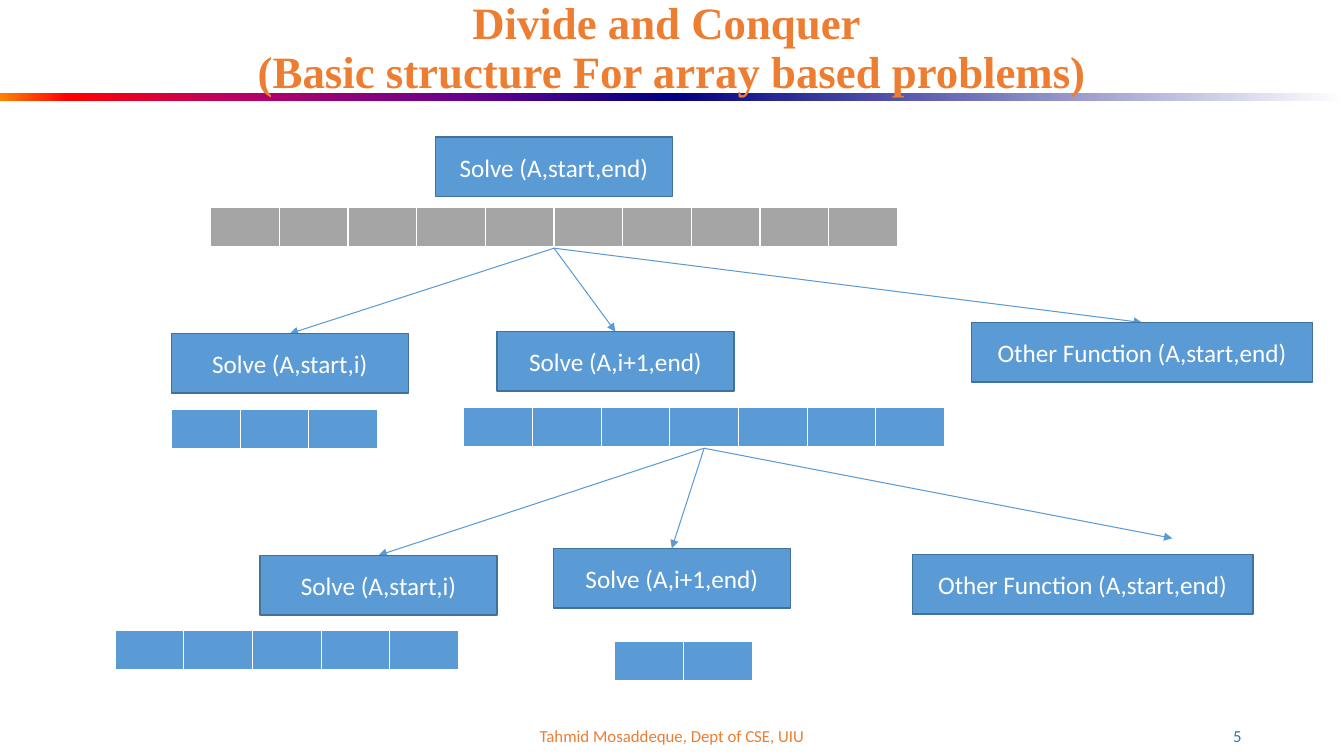
"""Build a slide on the recursive structure of divide and conquer on arrays."""
from dataclasses import dataclass
from lxml.etree import SubElement
from pptx import Presentation
from pptx.dml.color import RGBColor
from pptx.enum.shapes import MSO_CONNECTOR, MSO_SHAPE
from pptx.enum.text import MSO_ANCHOR, PP_ALIGN
from pptx.oxml import parse_xml
from pptx.oxml.ns import nsdecls, qn
from pptx.util import Pt

TITLE = "Divide and Conquer \v(Basic structure For array based problems)"
FOOTER = "Tahmid Mosaddeque, Dept of CSE, UIU"
NUMBER = "5"
ROOT, LEFT, RIGHT, OTHER = (
    "Solve (A,start,end)",
    "Solve (A,start,i)",
    "Solve (A,i+1,end)",
    "Other Function (A,start,end)",
)
CALLS = [
    (ROOT, 311, 98),
    (LEFT, 122.4, 238.3),
    (RIGHT, 355, 236.9),
    (OTHER, 694.1, 230.4),
    (LEFT, 185.8, 396.7),
    (RIGHT, 395.3, 391.7),
    (OTHER, 651.6, 396.2),
]
ARRAYS = [
    (10, 150.5, 148.3, "parent"),
    (3, 122.5, 292.3, "box"),
    (7, 331.3, 291.2, "box"),
    (5, 82.3, 450.2, "box"),
    (2, 439.2, 458.2, "box"),
]
TREE = [(0, (1, 2, 3)), (2, (4, 5, 6))]
TIPS = {6: (837.4, 384.5)}
STRIPS = [
    [(0, "FF8200"), (10, "FF0000"), (35, "BA0066"), (70, "66008F"), (100, "000082")],
    [(0, "000082"), (100, "FFFFFF")],
]


@dataclass(frozen=True)
class Theme:
    """Colours, fonts and type sizes."""
    box: str = "5B9BD5"
    edge: str = "42719B"
    parent: str = "A5A5A5"
    accent: str = "ED7D31"
    page: str = "2E75B5"
    white: str = "FFFFFF"
    head: str = "Times New Roman"
    body: str = "Calibri"
    big: int = 32
    mid: int = 18
    small: int = 12


LOOK = Theme()
WIDE, HIGH = 960, 540
CELL, ROW = 49.05, 29
BOX, LONG, TALL = 169.2, 243.4, 42.5


def paint(fill, tint):
    """Fill with one colour."""
    fill.solid()
    fill.fore_color.rgb = RGBColor.from_string(tint)


def write(shape, text, size, tint, face=LOOK.body, align=PP_ALIGN.CENTER):
    """Put one styled paragraph in a shape."""
    frame = shape.text_frame
    frame.word_wrap = True
    frame.vertical_anchor = MSO_ANCHOR.MIDDLE
    frame.text = text
    para = frame.paragraphs[0]
    para.alignment = align
    para.font.size = Pt(size)
    para.font.name = face
    para.font.color.rgb = RGBColor.from_string(tint)
    return para


def label(slide, area, *style, **more):
    """Add a text box."""
    return write(slide.shapes.add_textbox(*map(Pt, area)), *style, **more)


def block(slide, x, y, wide, high):
    """Add a plain rectangle."""
    shape = slide.shapes.add_shape(MSO_SHAPE.RECTANGLE, Pt(x), Pt(y), Pt(wide), Pt(high))
    shape.shadow.inherit = False
    return shape


def strip(slide, x, stops):
    """Add half of the gradient rule under the title."""
    shape = block(slide, x, 66.2, WIDE / 2, 5.8)
    shape.line.fill.background()
    marks = "".join(
        f'<a:gs pos="{at * 1000}"><a:srgbClr val="{tint}"/></a:gs>' for at, tint in stops
    )
    grad = parse_xml(
        f'<a:gradFill {nsdecls("a")} rotWithShape="1"><a:gsLst>{marks}</a:gsLst>'
        '<a:lin ang="0" scaled="0"/></a:gradFill>'
    )
    shape.element.spPr.find(qn("a:prstGeom")).addnext(grad)


def width(text):
    """Give the width of a call box."""
    return LONG if text == OTHER else BOX


def call(slide, text, x, y):
    """Add a function call box."""
    shape = block(slide, x, y, width(text), TALL)
    paint(shape.fill, LOOK.box)
    shape.line.color.rgb = RGBColor.from_string(LOOK.edge)
    shape.line.width = Pt(1)
    write(shape, text, LOOK.mid, LOOK.white)


def array(slide, count, x, y, tone):
    """Add a one-row table of empty cells."""
    table = slide.shapes.add_table(1, count, Pt(x), Pt(y), Pt(count * CELL), Pt(ROW)).table
    table.first_row = table.horz_banding = False
    for col in table.columns:
        col.width = Pt(CELL)
    for cell in table.iter_cells():
        cell.margin_top = cell.margin_bottom = 0
        cell.text_frame.paragraphs[0].font.size = Pt(LOOK.mid)
        props = cell._tc.get_or_add_tcPr()
        for side, thick in (("L", 1), ("R", 1), ("T", 1), ("B", 3)):
            edge = SubElement(props, qn(f"a:ln{side}"), w=str(Pt(thick)))
            SubElement(SubElement(edge, qn("a:solidFill")), qn("a:srgbClr"), val=LOOK.white)
        paint(cell.fill, getattr(LOOK, tone))


def arrow(slide, start, end):
    """Add a line with an arrowhead at its end."""
    line = slide.shapes.add_connector(MSO_CONNECTOR.STRAIGHT, *map(Pt, start + end))
    line.line.color.rgb = RGBColor.from_string(LOOK.box)
    line.line.width = Pt(0.75)
    SubElement(line.line._get_or_add_ln(), qn("a:tailEnd"), type="triangle")
    SubElement(line._element.spPr, qn("a:effectLst"))


def main():
    """Lay out the slide and save it."""
    deck = Presentation()
    deck.slide_width, deck.slide_height = Pt(WIDE), Pt(HIGH)
    slide = deck.slides.add_slide(deck.slide_layouts[6])
    for half, stops in enumerate(STRIPS):
        strip(slide, half * WIDE / 2, stops)
    title = label(slide, (66, 11.5, 828, 47.5), TITLE, LOOK.big, LOOK.accent, LOOK.head)
    title.font.bold = True
    title.line_spacing = 0.9
    label(slide, (318, 511.2, 324, 28.8), FOOTER, LOOK.small, LOOK.accent)
    label(slide, (678, 511.2, 216, 28.8), NUMBER, LOOK.small, LOOK.page, align=PP_ALIGN.RIGHT)
    for item in ARRAYS:
        array(slide, *item)
    for source, kids in TREE:
        count, x, y, _ = ARRAYS[source]
        for kid in kids:
            text, left, top = CALLS[kid]
            tip = TIPS.get(kid, (left + width(text) / 2, top))
            arrow(slide, (x + count * CELL / 2, y + ROW), tip)
    for item in CALLS:
        call(slide, *item)
    deck.save("out.pptx")


if __name__ == "__main__":
    main()
